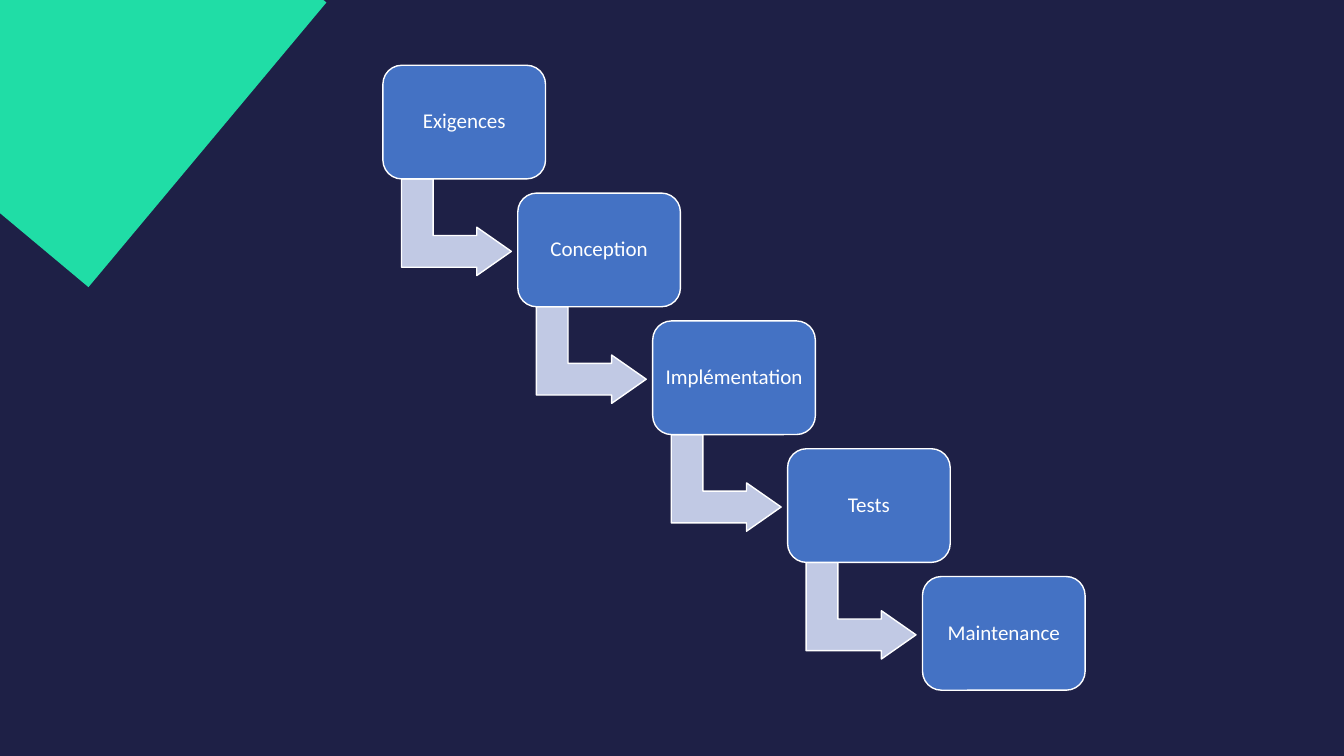
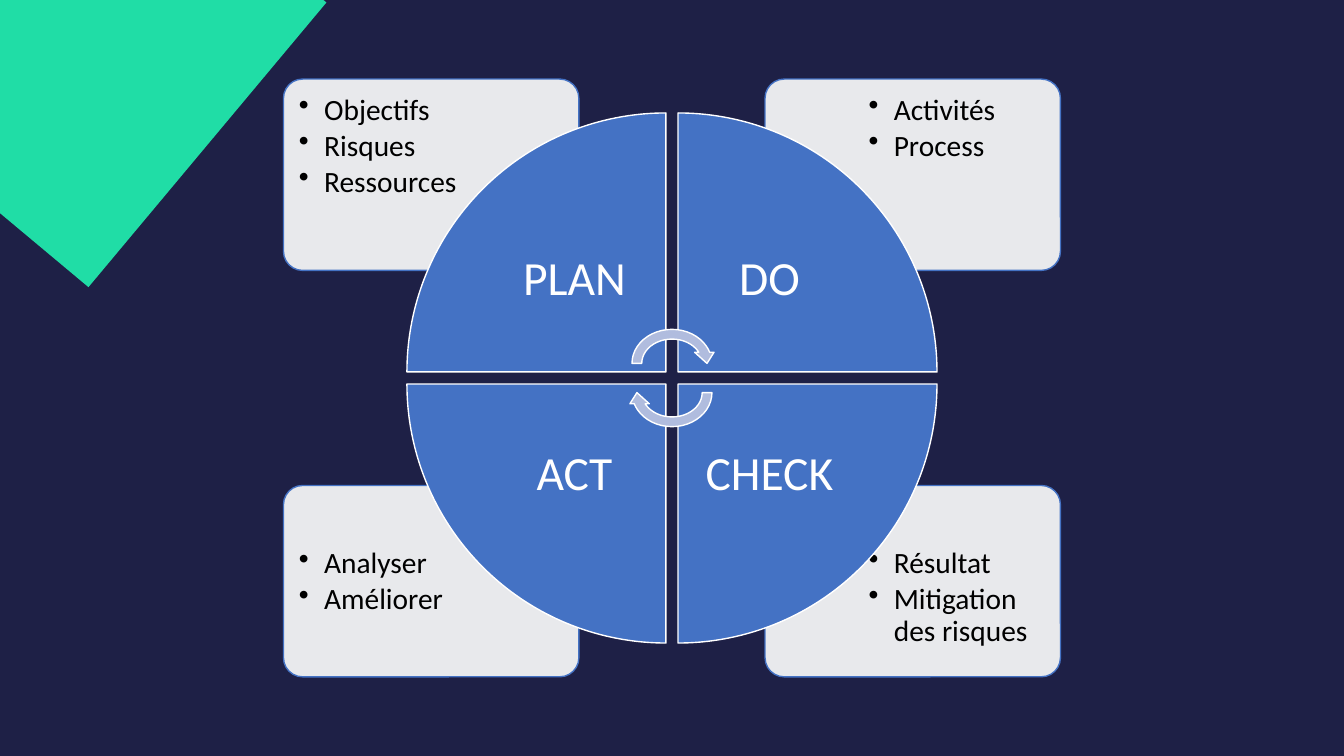
from dataclasses import dataclass

from lxml import etree
from pptx import Presentation
from pptx.dml.color import RGBColor
from pptx.enum.shapes import MSO_SHAPE
from pptx.enum.text import MSO_ANCHOR, PP_ALIGN
from pptx.oxml.ns import qn
from pptx.util import Pt

RECTANGLE = MSO_SHAPE.RECTANGLE
ROUNDED = MSO_SHAPE.ROUNDED_RECTANGLE
BENT_ARROW = MSO_SHAPE.BENT_UP_ARROW
WEDGE = MSO_SHAPE.PIE_WEDGE
CYCLE_ARROW = MSO_SHAPE.CIRCULAR_ARROW
TOP, MIDDLE = MSO_ANCHOR.TOP, MSO_ANCHOR.MIDDLE
LEFT, CENTER = PP_ALIGN.LEFT, PP_ALIGN.CENTER


@dataclass(frozen=True)
class Theme:
    font: str = "Calibri"
    night: RGBColor = RGBColor(0x1E, 0x20, 0x46)
    green: RGBColor = RGBColor(0x20, 0xDD, 0xA6)
    blue: RGBColor = RGBColor(0x44, 0x72, 0xC4)
    pale_blue: RGBColor = RGBColor(0xC1, 0xC9, 0xE4)
    soft_blue: RGBColor = RGBColor(0xB0, 0xBC, 0xDE)
    white: RGBColor = RGBColor(0xFF, 0xFF, 0xFF)
    black: RGBColor = RGBColor(0x00, 0x00, 0x00)
    step_size: float = 15
    detail_size: float = 21
    phase_size: float = 34


theme = Theme()


def add_block(slide, kind, box, fill, line=None, rotation=0, adjustments=()):
    block = slide.shapes.add_shape(kind, *[Pt(length) for length in box])
    block.shadow.inherit = False
    block.rotation = rotation
    block.fill.solid()
    block.fill.fore_color.rgb = fill
    if line is None:
        block.line.fill.background()
    else:
        block.line.color.rgb = line
        block.line.width = Pt(1)
    for index, value in enumerate(adjustments):
        block.adjustments[index] = value
    return block


def write_lines(block, lines, size, color, insets, anchor=MIDDLE, bullets=False):
    frame = block.text_frame
    frame.word_wrap = True
    frame.vertical_anchor = anchor
    (frame.margin_left, frame.margin_top,
     frame.margin_right, frame.margin_bottom) = [Pt(inset) for inset in insets]
    for index, line in enumerate(lines):
        paragraph = frame.add_paragraph() if index else frame.paragraphs[0]
        paragraph.alignment = LEFT if bullets else CENTER
        paragraph.line_spacing = 0.9
        if bullets:
            paragraph.space_after = Pt(3)
            properties = paragraph._p.get_or_add_pPr()
            properties.set("marL", str(Pt(18)))
            properties.set("indent", str(-Pt(18)))
            etree.SubElement(properties, qn("a:buChar"), char="•")
        run = paragraph.add_run()
        run.text = line
        run.font.name = theme.font
        run.font.size = Pt(size)
        run.font.color.rgb = color


deck = Presentation()
deck.slide_width, deck.slide_height = Pt(960), Pt(540)
deck.slide_master.background.fill.solid()
deck.slide_master.background.fill.fore_color.rgb = theme.night
blank = deck.slide_layouts[6]
waterfall, wheel = [deck.slides.add_slide(blank) for _ in range(2)]
for slide in (waterfall, wheel):
    add_block(slide, RECTANGLE, (-71.3, -108.7, 248.4, 265), theme.green, rotation=39.9)

steps = ["Exigences", "Conception", "Implémentation", "Tests", "Maintenance"]
for index, step in enumerate(steps):
    left, top = 273.5 + 96.35 * index, 46.6 + 91.3 * index
    if index < len(steps) - 1:
        add_block(waterfall, BENT_ARROW, (left + 18, top + 76.5, 69, 78.5),
                  theme.pale_blue, theme.white, 90, (0.328, 0.25, 0.358))
    step_box = add_block(waterfall, ROUNDED, (left, top, 116.2, 81.2),
                         theme.blue, theme.white, adjustments=(0.167,))
    write_lines(step_box, [step], theme.step_size, theme.white, (2, 2, 2, 2))

center_x, center_y = 480, 270
phases = [
    ("PLAN", -1, -1, 0, ["Objectifs", "Risques", "Ressources"]),
    ("DO", 1, -1, 90, ["Activités", "Process"]),
    ("CHECK", 1, 1, 180, ["Résultat", "Mitigation des risques"]),
    ("ACT", -1, 1, 270, ["Analyser", "Améliorer"]),
]

card_width, card_height = 211, 136.7
for phase, side_x, side_y, rotation, details in phases:
    left = center_x + (66.5 if side_x > 0 else -66.5 - card_width)
    top = center_y + (76.8 if side_y > 0 else -76.8 - card_height)
    card = add_block(wheel, ROUNDED, (left, top, card_width, card_height),
                     theme.white, theme.blue, adjustments=(0.1,))
    card_color = card._element.spPr.find(qn("a:solidFill"))[0]
    etree.SubElement(card_color, qn("a:alpha"), val="90000")
    insets = (70 if side_x > 0 else 7.2, 41 if side_y > 0 else 7.2,
              7.2 if side_x > 0 else 70, 7.2)
    write_lines(card, details, theme.detail_size, theme.black, insets, TOP, bullets=True)

half_gap, wedge_size, label_size = 4.3, 185, 130.6
for phase, side_x, side_y, rotation, details in phases:
    wedge_box, label_box = [
        [center + (half_gap if side > 0 else -half_gap - size)
         for center, side in ((center_x, side_x), (center_y, side_y))] + [size, size]
        for size in (wedge_size, label_size)
    ]
    add_block(wheel, WEDGE, wedge_box, theme.blue, theme.white, rotation)
    label = wheel.shapes.add_textbox(*[Pt(length) for length in label_box])
    write_lines(label, [phase], theme.phase_size, theme.white, (10, 10, 10, 10))

arrow_width, arrow_height = 64, 55.6
for offset, rotation in ((-10.4, 0), (10.4, 180)):
    add_block(wheel, CYCLE_ARROW,
              (center_x - arrow_width / 2, center_y + offset - arrow_height / 2,
               arrow_width, arrow_height),
              theme.soft_blue, theme.white, rotation)

deck.save("out.pptx")
